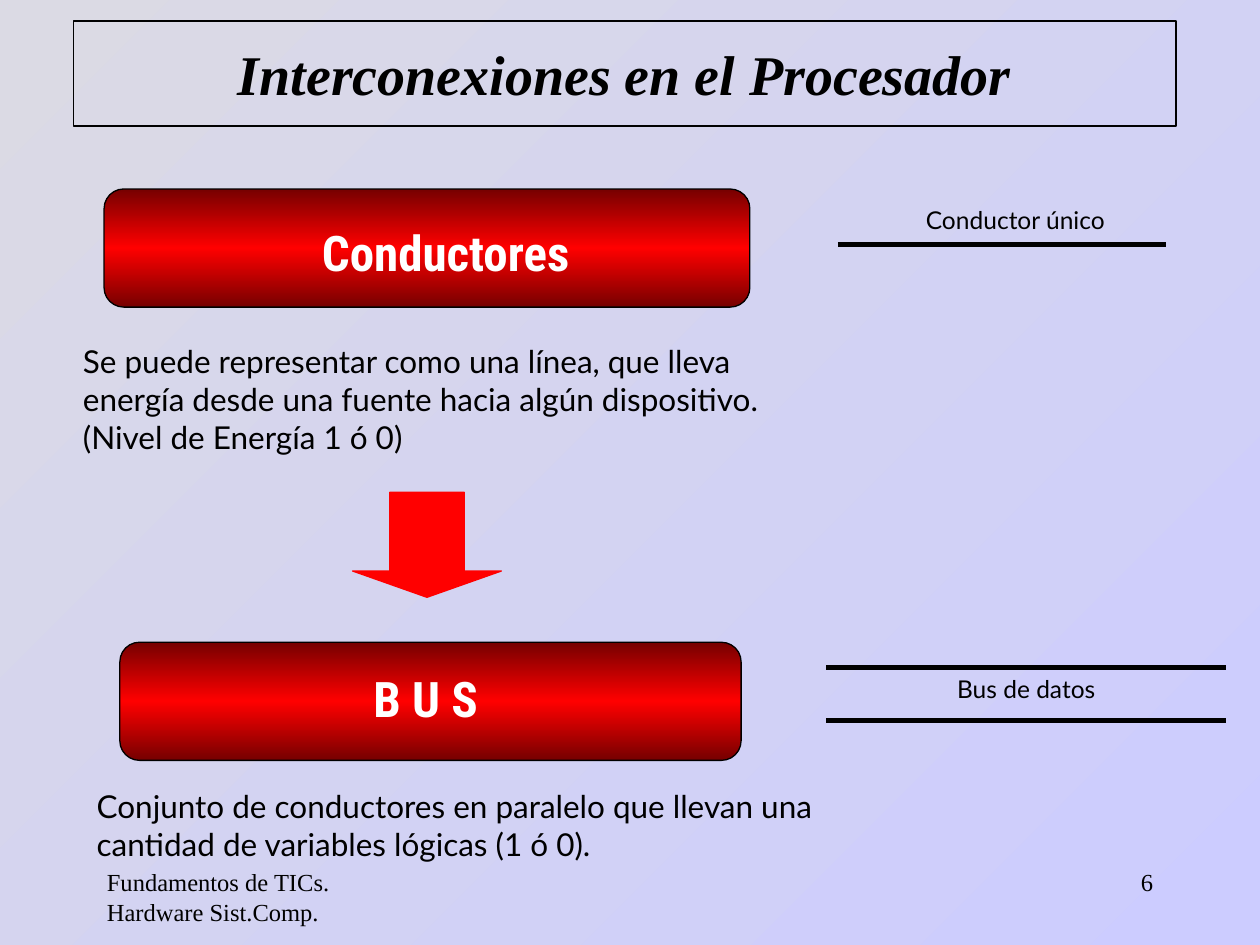
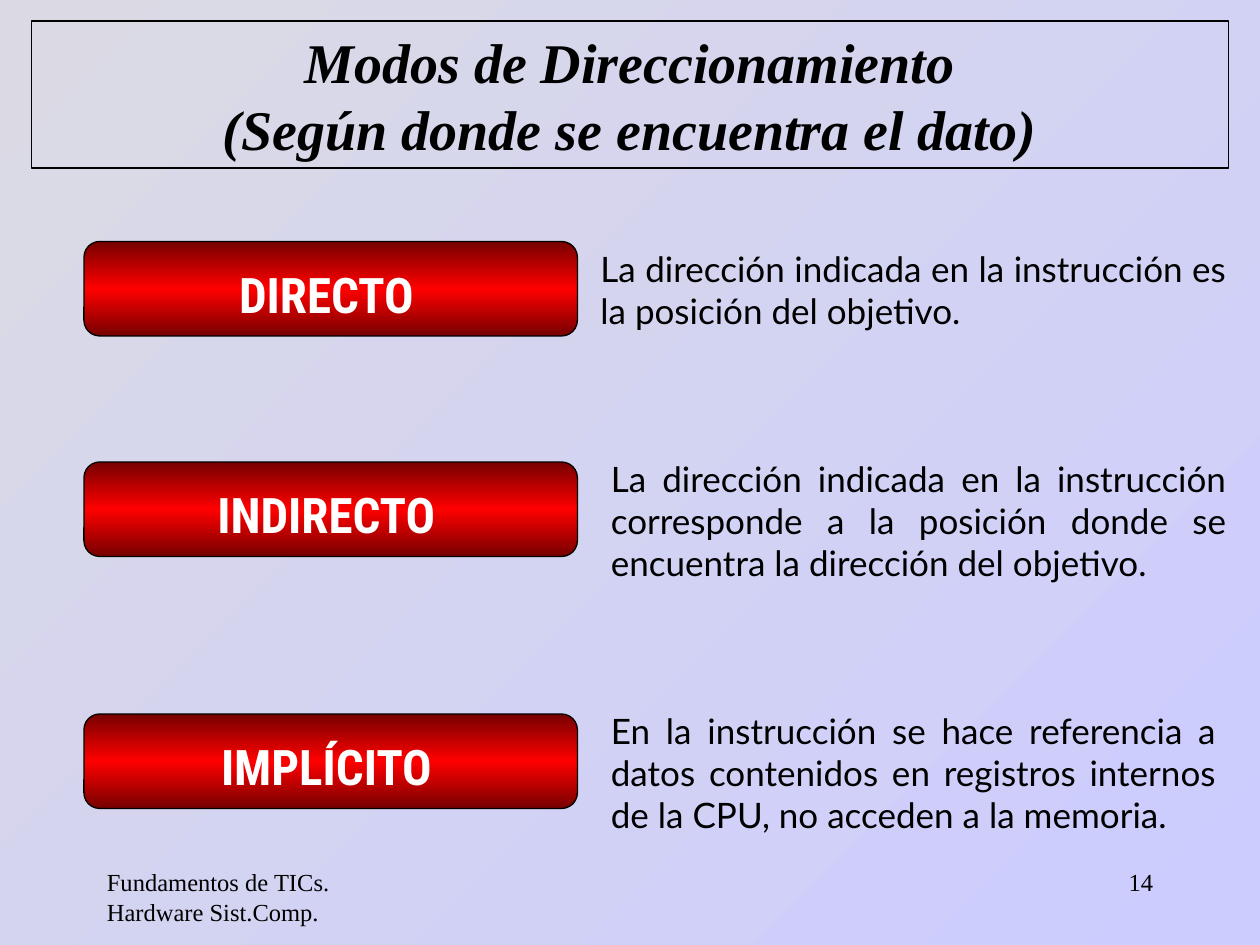
"""Builds two slides on processor interconnections and addressing modes."""
from copy import deepcopy

from lxml.etree import SubElement
from pptx import Presentation
from pptx.dml.color import RGBColor
from pptx.enum.shapes import MSO_CONNECTOR as Line, MSO_SHAPE as Shape
from pptx.enum.text import MSO_ANCHOR as Anchor, PP_ALIGN as Align
from pptx.oxml.ns import qn
from pptx.util import Pt

BLACK = RGBColor(0x00, 0x00, 0x00)
WHITE = RGBColor(0xFF, 0xFF, 0xFF)
RED = RGBColor(0xFF, 0x00, 0x00)
DARK_RED = RGBColor(0x76, 0x00, 0x00)
GREY = RGBColor(0xDB, 0xDA, 0xE4)
LAVENDER = RGBColor(0xCC, 0xCC, 0xFF)
SERIF, SANS, CONDENSED = "Times New Roman", "Lato", "Roboto Condensed"

FOOTER = "Fundamentos de TICs. Hardware Sist.Comp."

CONCEPTS = [
    dict(name="Conductores", bar=(59.5, 108, 369, 67.5),
         label=(93, 123.8, 355, 41), label_format=dict(indent=91),
         meaning="Se puede representar como una línea, que lleva energía desde "
                 "una fuente hacia algún dispositivo. (Nivel de Energía 1 ó 0)",
         meaning_box=(40.3, 192, 421, 72),
         wires=[139.7], wire_ends=(478.8, 666),
         caption="Conductor único", caption_box=(522, 113.8, 160.5, 24),
         caption_align=Align.LEFT),
    dict(name="B U S", bar=(68.5, 367, 355, 67.5),
         label=(136, 378.7, 214.5, 41), label_format=dict(align=Align.CENTER),
         meaning="Conjunto de conductores en paralelo que llevan una cantidad "
                 "de variables lógicas (1 ó 0).",
         meaning_box=(48.2, 446.4, 453.6, 50.4),
         wires=[381.6, 411.6], wire_ends=(472.3, 700.5),
         caption="Bus de datos", caption_box=(492.5, 381.6, 188, 24),
         caption_align=Align.CENTER),
]
DOWN_ARROW = (201.5, 281.3, 85, 60)

MODES = [
    ("DIRECTO", 138,
     "La dirección indicada en la instrucción es la posición del objetivo.",
     (336, 138, 372, 55.5)),
    ("INDIRECTO", 264,
     "La dirección indicada en la instrucción corresponde a la posición donde "
     "se encuentra la dirección del objetivo.",
     (342, 258, 366, 79)),
    ("IMPLÍCITO", 408,
     "En la instrucción se hace referencia a datos contenidos en registros "
     "internos de la CPU, no acceden a la memoria.",
     (342, 402, 360, 79)),
]


def points(box):
    return [Pt(length) for length in box]


def write(holder, text, size=14, font=SANS, color=BLACK, bold=False,
          italic=False, align=Align.LEFT, anchor=Anchor.TOP, indent=7.2):
    frame = holder.text_frame
    frame.word_wrap = True
    frame.vertical_anchor = anchor
    frame.margin_left = Pt(indent)
    paragraph = frame.paragraphs[0]
    paragraph.text = text
    paragraph.alignment = align
    for run in paragraph.runs:
        run.font.name, run.font.size = font, Pt(size)
        run.font.bold, run.font.italic = bold, italic
        run.font.color.rgb = color


def add_text(slide, box, text, **text_format):
    write(slide.shapes.add_textbox(*points(box)), text, **text_format)


def add_outlined(slide, kind, box, outline=BLACK):
    shape = slide.shapes.add_shape(kind, *points(box))
    shape.shadow.inherit = False
    shape.fill.background()
    shape.line.color.rgb = outline
    shape.line.width = Pt(0.75)
    return shape


def add_bar(slide, box, name, label_box, **label_format):
    bar = add_outlined(slide, Shape.ROUNDED_RECTANGLE, box)
    bar.fill.gradient()
    bar.fill.gradient_angle = 270
    for stop in bar.fill.gradient_stops:
        stop.color.rgb = DARK_RED
    stops = bar.element.xpath(".//a:gsLst")[0]
    stops.insert(1, deepcopy(stops[0]))
    middle = bar.fill.gradient_stops[1]
    middle.color.rgb, middle.position = RED, 0.5
    add_text(slide, label_box, name, size=28, font=CONDENSED, color=WHITE,
             bold=True, **label_format)


def add_wire(slide, left, right, y):
    wire = slide.shapes.add_connector(
        Line.STRAIGHT, Pt(left), Pt(y), Pt(right), Pt(y))
    wire.line.color.rgb = BLACK
    wire.line.width = Pt(3)
    SubElement(wire.element.spPr, qn("a:effectLst"))


def add_slide(deck, title, title_box, number):
    slide = deck.slides.add_slide(deck.slide_layouts[6])
    add_text(slide, (54, 492, 150, 36), FOOTER, font=SERIF)
    add_text(slide, (516, 492, 150, 36), number, font=SERIF, align=Align.RIGHT)
    write(add_outlined(slide, Shape.RECTANGLE, title_box), title, size=32,
          font=SERIF, bold=True, italic=True, align=Align.CENTER,
          anchor=Anchor.MIDDLE)
    return slide


def add_interconnections(deck):
    slide = add_slide(deck, "Interconexiones en el Procesador",
                      (42, 12, 630, 60), "6")
    for concept in CONCEPTS:
        add_bar(slide, concept["bar"], concept["name"], concept["label"],
                **concept["label_format"])
        add_text(slide, concept["meaning_box"], concept["meaning"], size=18)
        for y in concept["wires"]:
            add_wire(slide, *concept["wire_ends"], y)
        add_text(slide, concept["caption_box"], concept["caption"],
                 align=concept["caption_align"])
    arrow = add_outlined(slide, Shape.DOWN_ARROW, DOWN_ARROW, RED)
    arrow.adjustments[1] = 0.25
    arrow.fill.solid()
    arrow.fill.fore_color.rgb = RED


def add_addressing_modes(deck):
    slide = add_slide(
        deck, "Modos de Direccionamiento\n(Según donde se encuentra el dato)",
        (18, 12, 684, 84), "14")
    for name, top, meaning, meaning_box in MODES:
        add_bar(slide, (48, top, 282, 54), name, (101.5, top + 9.5, 170, 41),
                align=Align.CENTER)
        add_text(slide, meaning_box, meaning, size=20, align=Align.JUSTIFY)


def main():
    deck = Presentation()
    deck.slide_width, deck.slide_height = Pt(720), Pt(540)
    backdrop = deck.slide_master.background.fill
    backdrop.gradient()
    backdrop.gradient_angle = 315
    for stop, color in zip(backdrop.gradient_stops, (GREY, LAVENDER)):
        stop.color.rgb = color
    add_interconnections(deck)
    add_addressing_modes(deck)
    deck.save("out.pptx")


if __name__ == "__main__":
    main()
